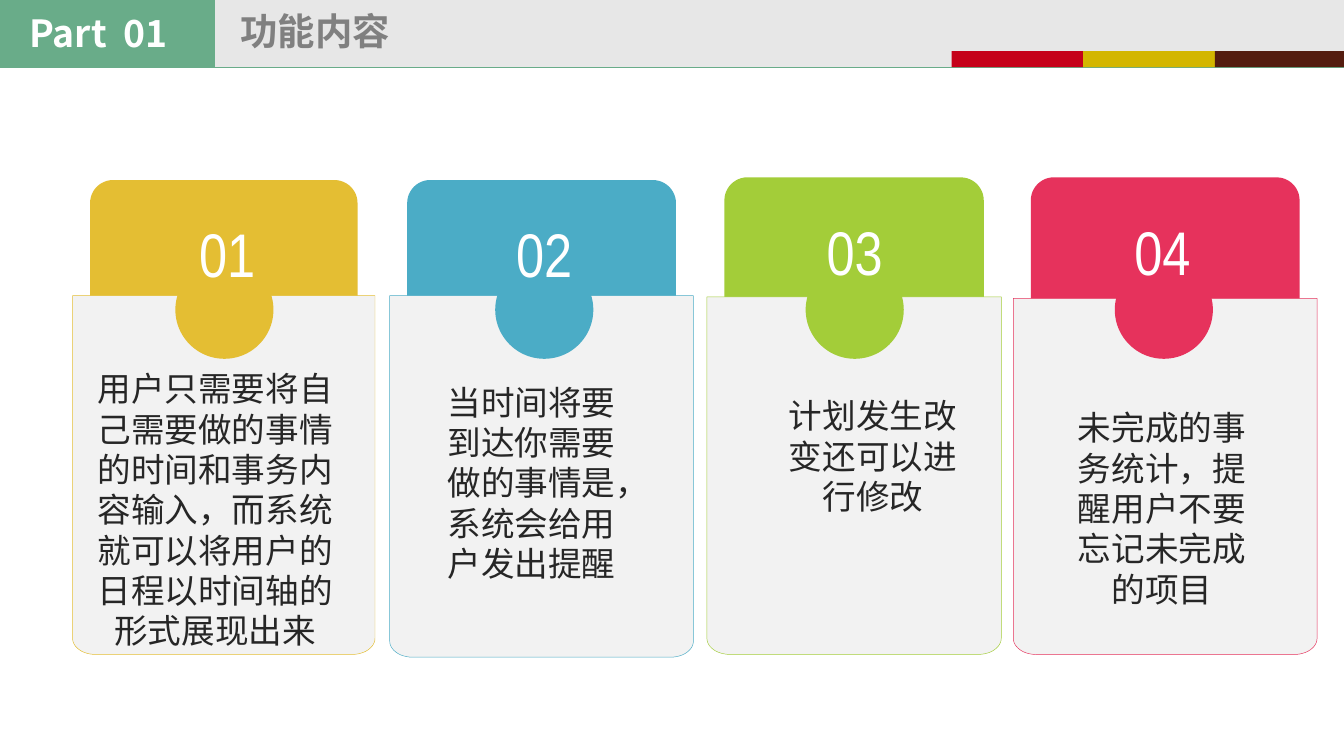
from dataclasses import dataclass
from math import cos, pi, sin

from lxml import etree
from pptx import Presentation
from pptx.dml.color import RGBColor
from pptx.enum.shapes import MSO_CONNECTOR, MSO_SHAPE
from pptx.enum.text import MSO_ANCHOR, MSO_AUTO_SIZE, PP_ALIGN
from pptx.oxml.ns import qn
from pptx.util import Inches, Pt

RECT, ROUND, OVAL = MSO_SHAPE.RECTANGLE, MSO_SHAPE.ROUNDED_RECTANGLE, MSO_SHAPE.OVAL
LEFT, CENTER = PP_ALIGN.LEFT, PP_ALIGN.CENTER
TOP, GROW = MSO_ANCHOR.TOP, MSO_AUTO_SIZE.SHAPE_TO_FIT_TEXT
STRAIGHT = MSO_CONNECTOR.STRAIGHT


@dataclass(frozen=True)
class Theme:
    """Colours, fonts and type sizes of the slide."""
    green: str = "69AC89"
    band: str = "D9D9D9"
    heading: str = "808080"
    white: str = "FFFFFF"
    panel: str = "F2F2F2"
    ink: str = "262626"
    stripes: tuple = ("C50119", "D3B600", "541C0F")
    cards: tuple = ("E4BE33", "4BACC6", "A3CD39", "E6325C")
    body_font: str = "Noto Sans CJK SC"
    number_font: str = "Arial Narrow"
    heading_size: int = 20
    number_size: int = 33
    body_size: int = 18


theme = Theme()


def block(shapes, kind, box, color):
    """Add a filled preset shape without outline or shadow."""
    shape = shapes.add_shape(kind, *map(Inches, box))
    shape.shadow.inherit = False
    shape.fill.solid()
    shape.fill.fore_color.rgb = RGBColor.from_string(color)
    shape.line.fill.background()
    return shape


def write(shapes, text, *, box, size, color, holder=None, font=theme.body_font,
          bold=False, align=LEFT, wrap=True, margins=(0.1, 0.05)):
    """Put one formatted run into a placeholder or a new text box."""
    holder = holder or shapes.add_textbox(*map(Inches, box))
    holder.left, holder.top, holder.width, holder.height = map(Inches, box)
    frame = holder.text_frame
    frame.word_wrap, frame.auto_size, frame.vertical_anchor = wrap, GROW, TOP
    frame.margin_left = frame.margin_right = Inches(margins[0])
    frame.margin_top = frame.margin_bottom = Inches(margins[1])
    paragraph = frame.paragraphs[0]
    paragraph.alignment = align
    run = paragraph.add_run()
    run.text = text
    run.font.name, run.font.size, run.font.bold = font, Pt(size), bold
    run.font.color.rgb = RGBColor.from_string(color)
    etree.SubElement(run.font._element, qn("a:ea"), typeface=font)


WIDTH = 10
HEIGHT = WIDTH * 9 / 16
HEADER = 0.5
prs = Presentation()
prs.slide_width, prs.slide_height = Inches(WIDTH), Inches(HEIGHT)
slide = prs.slides.add_slide(prs.slide_layouts[5])
shapes = slide.shapes

# Header
band = block(shapes, RECT, (0.01, 0, WIDTH, HEADER), theme.band)
band_color = band._element.spPr.find(qn("a:solidFill"))[0]
etree.SubElement(band_color, qn("a:alpha"), val="61000")
block(shapes, RECT, (0, 0, 0.16 * WIDTH, HEADER), theme.green)
rule = shapes.add_connector(STRAIGHT, Inches(-0.01), Inches(HEADER),
                            Inches(WIDTH + 0.01), Inches(HEADER))
rule.line.color.rgb = RGBColor.from_string(theme.green)
rule.line.width = Pt(0.5)
etree.SubElement(rule._element.spPr, qn("a:effectLst"))

STRIPE_LEFT, STRIPE_WIDTH, STRIPE_HEIGHT = 7.08, 0.98, 0.12
for column, color in enumerate(theme.stripes):
    stripe = block(shapes, RECT, (STRIPE_LEFT + column * STRIPE_WIDTH, HEADER - STRIPE_HEIGHT,
                                  STRIPE_WIDTH, STRIPE_HEIGHT), color)

title = shapes.title
stripe._element.addnext(title._element)
write(shapes, "功能内容", holder=title, box=(1.69, 0.01, 1.33, 0.46),
      size=theme.heading_size, color=theme.heading, bold=True, wrap=False)
write(shapes, "Part  01", box=(0.12, 0.03, 1.57, 0.44),
      size=theme.heading_size, color=theme.white, bold=True)

# Cards: panel left, width, top, bottom; tab top; hub and number centres; message box; message
cards = [
    (0.54, 2.25, 2.20, 4.87, 1.34, 1.67, 1.69, (0.54, 2.7, 2.12, 2.2),
     "用户只需要将自己需要做的事情的时间和事务内容输入，而系统就可以将用户的日程以时间轴的形式展现出来"),
    (2.90, 2.26, 2.20, 4.89, 1.34, 4.05, 4.05, (3.15, 2.8, 1.61, 1.6),
     "当时间将要到达你需要做的事情是，系统会给用户发出提醒"),
    (5.26, 2.19, 2.21, 4.87, 1.32, 6.36, 6.36, (5.68, 2.9, 1.63, 1),
     "计划发生改变还可以进行修改"),
    (7.54, 2.26, 2.22, 4.87, 1.32, 8.66, 8.65, (7.83, 2.99, 1.63, 1.6),
     "未完成的事务统计，提醒用户不要忘记未完成的项目"),
]
TAB_INSET, TAB_HEIGHT, TAB_ROUNDING = 0.13, 1.84, 0.093
HUB_TOP, HUB_SIZE = 1.94, 0.73
NUMBER_WIDTH, NUMBER_HEIGHT, NUMBER_DROP = 1.08, 0.63, 0.23
CORNER_X, CORNER_Y, STEPS = 0.17, 0.12, 12
MARGINS = (0.07, 0.04)

quarter = [pi / 2 * step / STEPS for step in range(STEPS + 1)]
for number, (card, color) in enumerate(zip(cards, theme.cards), start=1):
    left, width, top, bottom, tab_top, hub, number_center, message_box, message = card
    right = left + width
    group = shapes.add_group_shape().shapes

    tab = block(group, ROUND, (left + TAB_INSET, tab_top, width - 2 * TAB_INSET, TAB_HEIGHT), color)
    tab.adjustments[0] = TAB_ROUNDING

    outline = [(right, top)]
    outline += [(right - CORNER_X * (1 - cos(a)), bottom - CORNER_Y * (1 - sin(a)))
                for a in quarter]
    outline += [(left + CORNER_X * (1 - sin(a)), bottom - CORNER_Y * (1 - cos(a)))
                for a in quarter]
    builder = group.build_freeform(Inches(left), Inches(top))
    builder.add_line_segments([(Inches(x), Inches(y)) for x, y in outline], close=True)
    panel = builder.convert_to_shape()
    panel.shadow.inherit = False
    panel.fill.solid()
    panel.fill.fore_color.rgb = RGBColor.from_string(theme.panel)
    panel.line.color.rgb = RGBColor.from_string(color)
    panel.line.width = Pt(0.25)

    block(group, OVAL, (hub - HUB_SIZE / 2, HUB_TOP, HUB_SIZE, HUB_SIZE), color)
    write(group, f"{number:02d}",
          box=(number_center - NUMBER_WIDTH / 2, tab_top + NUMBER_DROP,
               NUMBER_WIDTH, NUMBER_HEIGHT),
          size=theme.number_size, color=theme.white, font=theme.number_font,
          align=CENTER, margins=MARGINS)
    write(group, message, box=message_box, size=theme.body_size,
          color=theme.ink, align=CENTER, margins=MARGINS)

prs.save("out.pptx")
